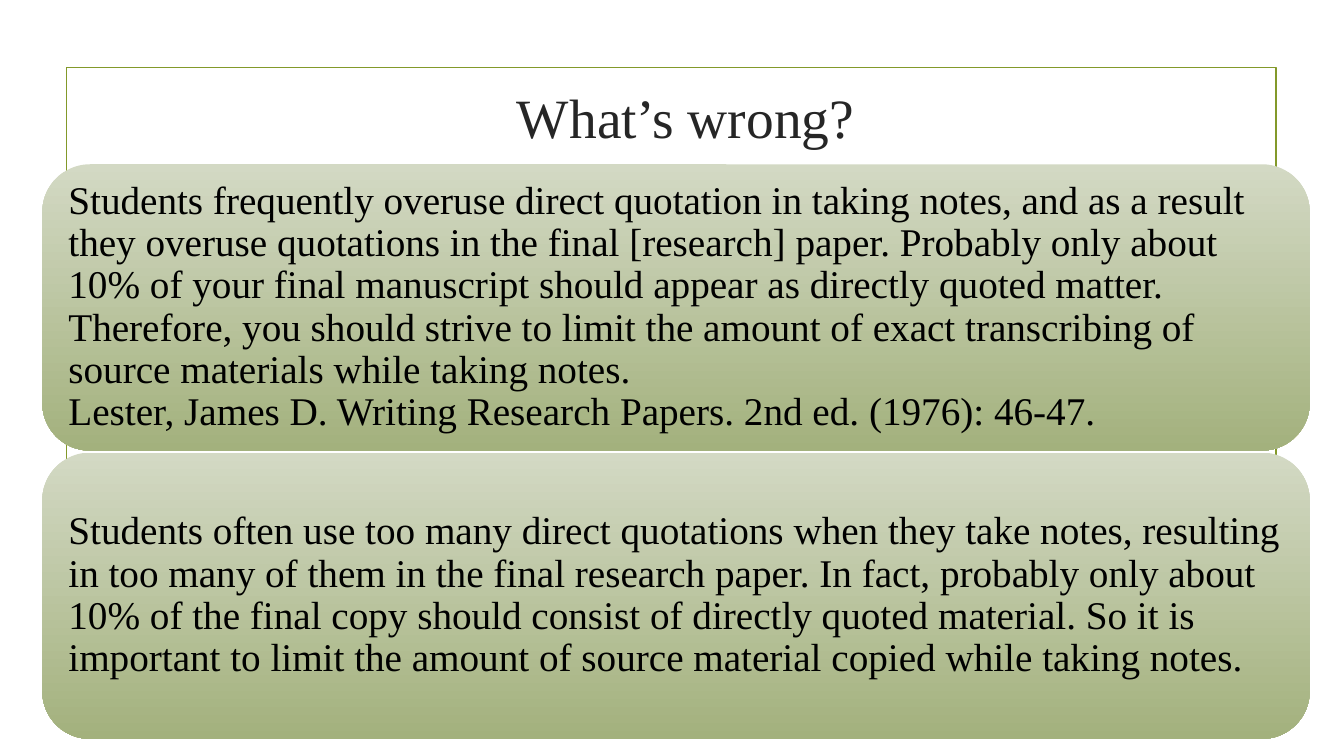
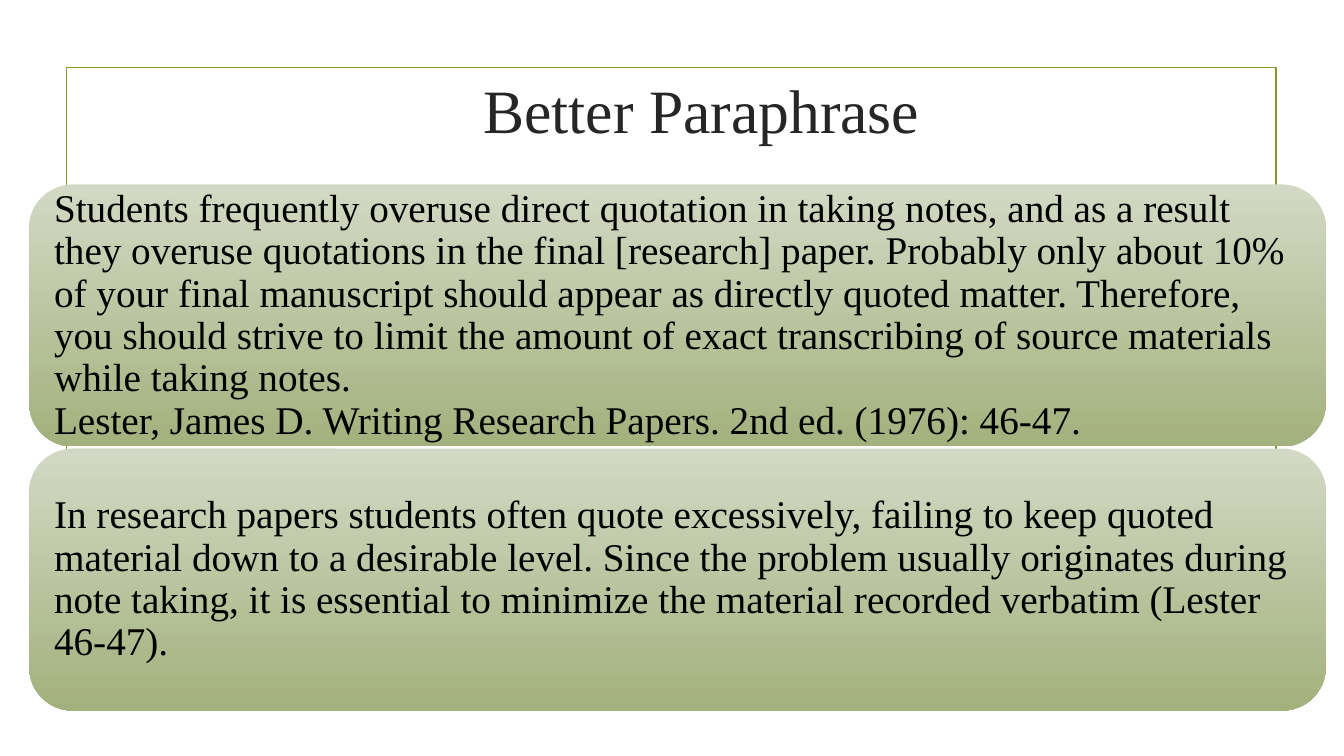
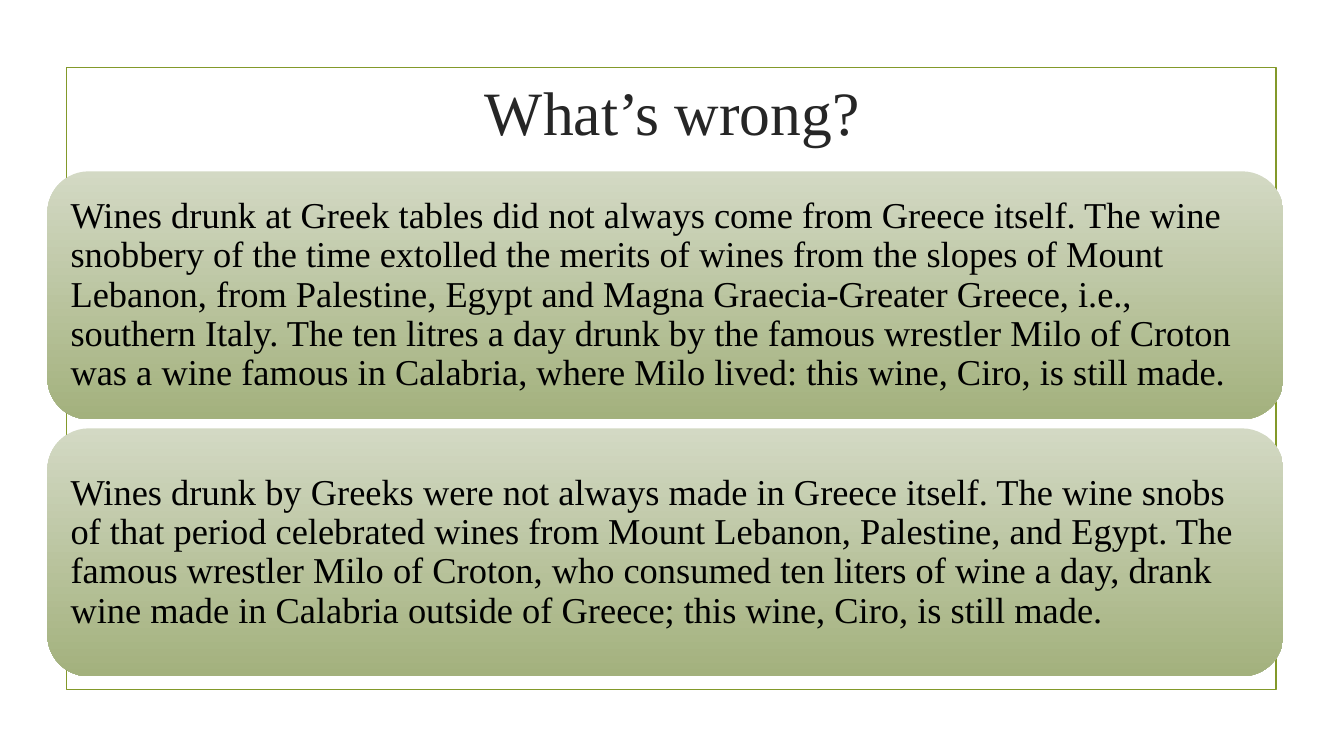
"""Build three slides that set source passages against their paraphrases."""
from pptx import Presentation
from pptx.dml.color import RGBColor
from pptx.enum.shapes import MSO_SHAPE
from pptx.enum.text import MSO_ANCHOR, MSO_AUTO_SIZE, PP_ALIGN
from pptx.util import Inches, Pt

COLORS = {
    "frame": "83992A",
    "title": "262626",
    "text": "000000",
    "panel_top": "D3D9C4",
    "panel_bottom": "A3B17D",
}
FONT = "Times New Roman"
TITLE_ONLY = 5

QUOTATION = [
    "Students frequently overuse direct quotation in taking notes, and as a result they overuse "
    "quotations in the final [research] paper. Probably only about 10% of your final manuscript "
    "should appear as directly quoted matter. Therefore, you should strive to limit the amount of "
    "exact transcribing of source materials while taking notes.",
    "Lester, James D. Writing Research Papers. 2nd ed. (1976): 46-47.",
]
CLOSE_PARAPHRASE = [
    "Students often use too many direct quotations when they take notes, resulting in too many of "
    "them in the final research paper. In fact, probably only about 10% of the final copy should "
    "consist of directly quoted material. So it is important to limit the amount of source "
    "material copied while taking notes.",
]
BETTER_PARAPHRASE = [
    "In research papers students often quote excessively, failing to keep quoted material down to "
    "a desirable level. Since the problem usually originates during note taking, it is essential "
    "to minimize the material recorded verbatim (Lester 46-47).",
]
WINE_QUOTATION = [
    "Wines drunk at Greek tables did not always come from Greece itself. The wine snobbery of the "
    "time extolled the merits of wines from the slopes of Mount Lebanon, from Palestine, Egypt and "
    "Magna Graecia-Greater Greece, i.e., southern Italy. The ten litres a day drunk by the famous "
    "wrestler Milo of Croton was a wine famous in Calabria, where Milo lived: this wine, Ciro, is "
    "still made.",
]
WINE_PARAPHRASE = [
    "Wines drunk by Greeks were not always made in Greece itself. The wine snobs of that period "
    "celebrated wines from Mount Lebanon, Palestine, and Egypt. The famous wrestler Milo of "
    "Croton, who consumed ten liters of wine a day, drank wine made in Calabria outside of Greece; "
    "this wine, Ciro, is still made.",
]


def color(name):
    return RGBColor.from_string(COLORS[name])


class Deck:
    def __init__(self):
        self.presentation = Presentation()
        self.presentation.slide_width = Inches(13.33)
        self.presentation.slide_height = Inches(7.5)
        self.slide = None

    def add_slide(self):
        layout = self.presentation.slide_layouts[TITLE_ONLY]
        self.slide = self.presentation.slides.add_slide(layout)
        self.frame()

    def shape(self, kind, left, top, width, height):
        shape = self.slide.shapes.add_shape(
            kind, Inches(left), Inches(top), Inches(width), Inches(height))
        shape.shadow.inherit = False
        return shape

    def frame(self):
        frame = self.shape(MSO_SHAPE.RECTANGLE, 0.66, 0.67, 12, 6.17)
        frame.fill.background()
        frame.line.color.rgb = color("frame")
        frame.line.width = Pt(1.25)

    def run(self, paragraph, text, size, color_name):
        run = paragraph.add_run()
        run.text = text
        run.font.name = FONT
        run.font.size = Pt(size)
        run.font.color.rgb = color(color_name)

    def title(self, text, left, top, height, size):
        title = self.slide.shapes.title
        title.left, title.top = Inches(left), Inches(top)
        title.width, title.height = Inches(10.5), Inches(height)
        text_frame = title.text_frame
        text_frame.auto_size = MSO_AUTO_SIZE.NONE
        text_frame.vertical_anchor = MSO_ANCHOR.MIDDLE
        paragraph = text_frame.paragraphs[0]
        paragraph.alignment = PP_ALIGN.CENTER
        self.run(paragraph, text, size, "title")

    def panel(self, lines, left, top, width, height, size, inset):
        panel = self.shape(MSO_SHAPE.ROUNDED_RECTANGLE, left, top, width, height)
        panel.line.fill.background()
        panel.fill.gradient()
        panel.fill.gradient_angle = 270
        for stop, name in zip(panel.fill.gradient_stops, ("panel_top", "panel_bottom")):
            stop.color.rgb = color(name)
        text_frame = panel.text_frame
        text_frame.word_wrap = True
        text_frame.vertical_anchor = MSO_ANCHOR.MIDDLE
        text_frame.margin_left = text_frame.margin_right = Inches(inset)
        text_frame.margin_top = text_frame.margin_bottom = Inches(inset)
        paragraph = text_frame.paragraphs[0]
        paragraph.alignment = PP_ALIGN.LEFT
        paragraph.line_spacing = 0.9
        for index, line in enumerate(lines):
            if index:
                paragraph.add_line_break()
            self.run(paragraph, line, size, "text")

    def panels(self, passages, left, top, width, height, gap, size=28, inset=0.12):
        for index, lines in enumerate(passages):
            self.panel(lines, left, top + index * (height + gap), width, height, size, inset)


def main():
    deck = Deck()

    deck.add_slide()
    deck.title("What’s wrong?", 1.55, 0.76, 0.78, 39.6)
    deck.panels([QUOTATION, CLOSE_PARAPHRASE], 0.42, 1.63, 12.57, 2.84, gap=0.02)

    deck.add_slide()
    deck.title("Better Paraphrase", 1.71, 0.66, 0.85, 44)
    deck.panels([QUOTATION, BETTER_PARAPHRASE], 0.29, 1.83, 12.86, 2.6, gap=0.02)

    deck.add_slide()
    deck.title("What’s wrong?", 1.42, 0.64, 0.91, 44)
    deck.panels([WINE_QUOTATION, WINE_PARAPHRASE], 0.47, 1.7, 12.26, 2.46, gap=0.09,
                size=26, inset=0.11)

    deck.presentation.save("out.pptx")


if __name__ == "__main__":
    main()
